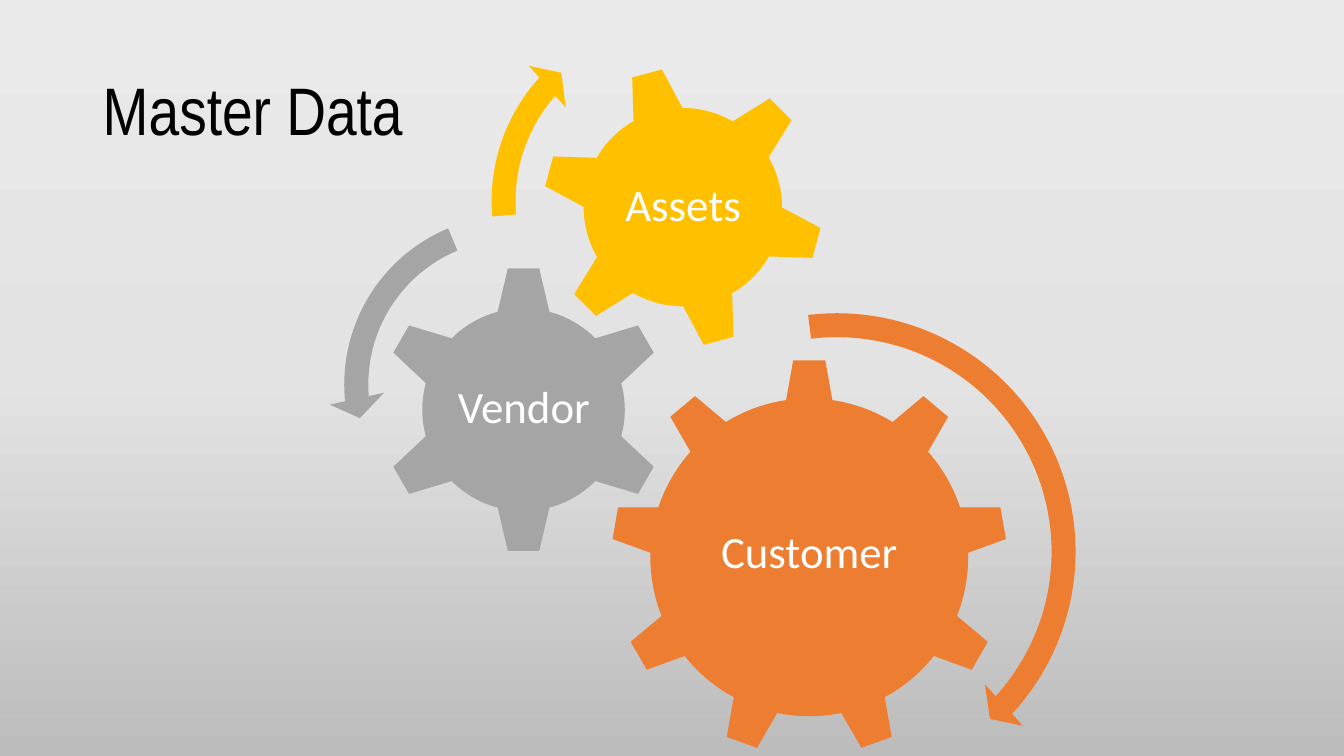
from copy import deepcopy
from dataclasses import dataclass

from pptx import Presentation
from pptx.dml.color import RGBColor
from pptx.enum.shapes import MSO_SHAPE
from pptx.enum.text import MSO_ANCHOR, PP_ALIGN
from pptx.oxml.ns import qn
from pptx.util import Cm, Pt

GEAR_6, GEAR_9 = MSO_SHAPE.GEAR_6, MSO_SHAPE.GEAR_9
CLOCKWISE, COUNTERCLOCKWISE = MSO_SHAPE.CIRCULAR_ARROW, MSO_SHAPE.LEFT_CIRCULAR_ARROW
MIDDLE = MSO_ANCHOR.MIDDLE
LEFT, CENTER = PP_ALIGN.LEFT, PP_ALIGN.CENTER
BLANK_LAYOUT = 6


@dataclass(frozen=True)
class Theme:
    orange: str = "ED7D31"
    gray: str = "A5A5A5"
    gold: str = "FFC000"
    black: str = "000000"
    white: str = "FFFFFF"
    background: tuple = ((0, "EBEAEA"), (0.5, "E4E3E3"), (1, "BDBCBC"))
    title_font: str = "Arial Narrow"
    label_font: str = "Calibri"
    title_size: int = 48
    label_size: int = 32
    line_spacing: float = 0.9


THEME = Theme()


@dataclass(frozen=True)
class Figure:
    """A square preset shape; lengths in centimetres."""
    kind: MSO_SHAPE
    left: float
    top: float
    side: float
    color: str
    rotation: float = 0
    adjustments: tuple = ()


@dataclass(frozen=True)
class Label:
    text: str
    left: float
    top: float
    width: float
    height: float


GEARS = (
    (Figure(GEAR_9, 15.39, 9.04, 10.01, THEME.orange),
     Label("Customer", 17.4, 11.38, 5.99, 5.16)),
    (Figure(GEAR_6, 9.55, 6.68, 7.29, THEME.gray),
     Label("Vendor", 11.4, 8.51, 3.61, 3.58)),
    (Figure(GEAR_6, 13.64, 1.65, 7.14, THEME.gold, rotation=345),
     Label("Assets", 15.21, 3.2, 4.01, 4.01)),
)
# Adjustments: band width, head angle, end angle, start angle, head width
ARROWS = (
    Figure(CLOCKWISE, 14.68, 7.49, 12.83, THEME.orange,
           adjustments=(0.047, 2.99, 25.536, 157.828, 0.055)),
    Figure(COUNTERCLOCKWISE, 8.28, 5.03, 9.32, THEME.gray,
           adjustments=(0.065, 4.3, 104.891, 148.378, 0.075)),
    Figure(CLOCKWISE, 11.99, 0.05, 10.03, THEME.gold,
           adjustments=(0.06, 3.941, 133.138, 105.082, 0.07)),
)
TITLE = Label("Master Data", 2.34, 1.02, 29.21, 3.68)


def paint_background(page) -> None:
    fill = page.background.fill
    fill.gradient()
    fill.gradient_angle = 270
    stop_list = page.element.find(".//" + qn("a:gsLst"))
    while len(stop_list) < len(THEME.background):
        stop_list.append(deepcopy(stop_list[-1]))
    for stop, (position, color) in zip(fill.gradient_stops, THEME.background):
        stop.position = position
        stop.color.rgb = RGBColor.from_string(color)


def add_figure(page, figure: Figure) -> None:
    side = Cm(figure.side)
    shape = page.shapes.add_shape(figure.kind, Cm(figure.left), Cm(figure.top), side, side)
    shape.shadow.inherit = False
    shape.fill.solid()
    shape.fill.fore_color.rgb = RGBColor.from_string(figure.color)
    shape.line.fill.background()
    shape.rotation = figure.rotation
    for index, value in enumerate(figure.adjustments):
        shape.adjustments[index] = value


def add_text(page, label: Label, *, font: str, size: int, color: str,
             align: PP_ALIGN, inset: float) -> None:
    box = page.shapes.add_textbox(Cm(label.left), Cm(label.top),
                                  Cm(label.width), Cm(label.height))
    frame = box.text_frame
    frame.word_wrap = True
    frame.vertical_anchor = MIDDLE
    frame.margin_left = frame.margin_right = Cm(inset)
    frame.margin_top = frame.margin_bottom = Cm(0.1)
    para = frame.paragraphs[0]
    para.alignment = align
    para.line_spacing = THEME.line_spacing
    span = para.add_run()
    span.text = label.text
    span.font.name = font
    span.font.size = Pt(size)
    span.font.color.rgb = RGBColor.from_string(color)


def main() -> None:
    deck = Presentation()
    deck.slide_width, deck.slide_height = Cm(33.87), Cm(19.05)
    page = deck.slides.add_slide(deck.slide_layouts[BLANK_LAYOUT])
    paint_background(page)
    add_text(page, TITLE, font=THEME.title_font, size=THEME.title_size,
             color=THEME.black, align=LEFT, inset=0.25)
    for gear, label in GEARS:
        add_figure(page, gear)
        add_text(page, label, font=THEME.label_font, size=THEME.label_size,
                 color=THEME.white, align=CENTER, inset=0.1)
    for arrow in ARROWS:
        add_figure(page, arrow)
    deck.save("out.pptx")


if __name__ == "__main__":
    main()
